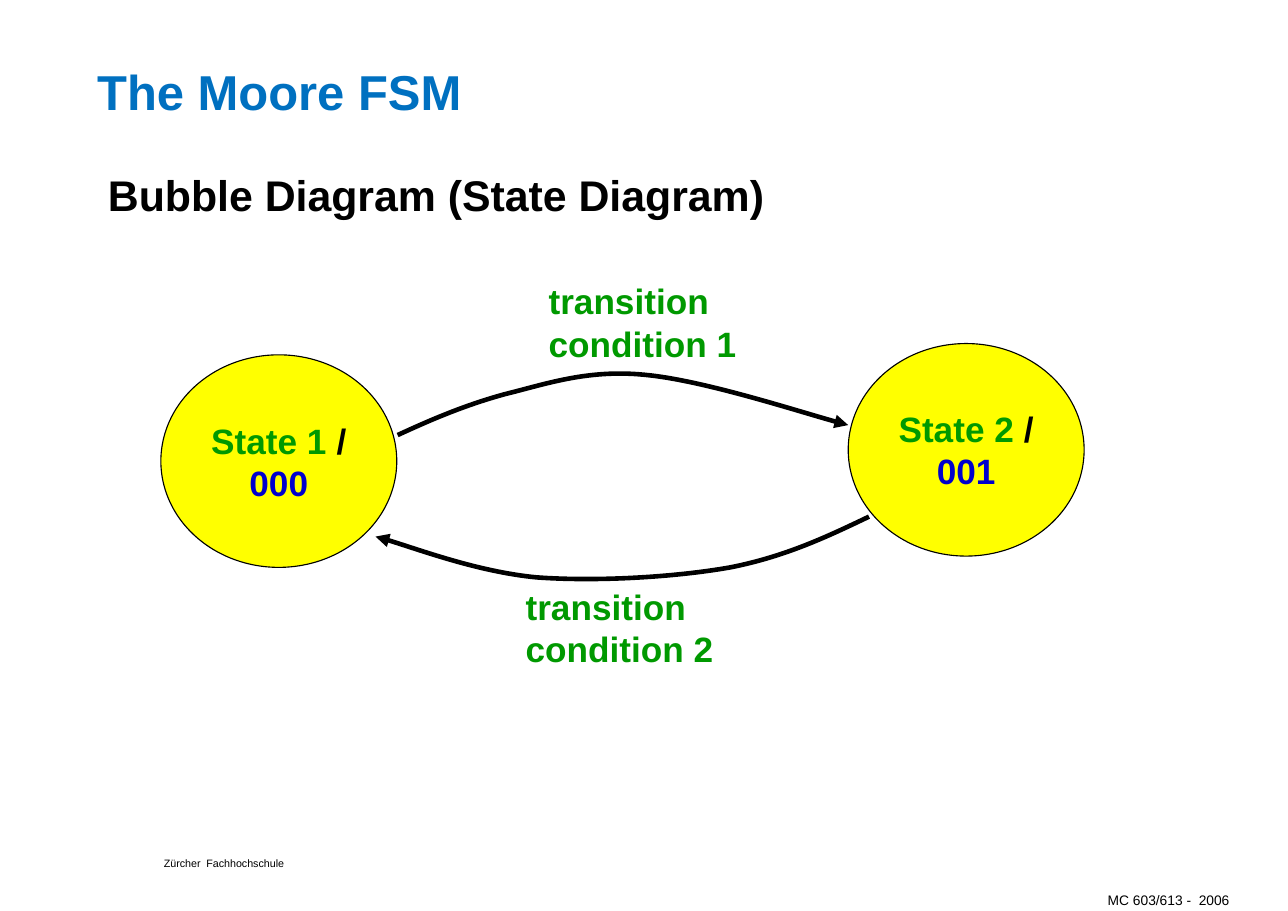
"""Build the slide on the Moore state machine with its bubble diagram."""
from lxml import etree
from pptx import Presentation
from pptx.dml.color import RGBColor
from pptx.enum.shapes import MSO_SHAPE
from pptx.enum.text import MSO_ANCHOR, MSO_AUTO_SIZE, PP_ALIGN
from pptx.oxml.ns import qn
from pptx.util import Cm, Pt

OVAL = MSO_SHAPE.OVAL
TOP, MIDDLE = MSO_ANCHOR.TOP, MSO_ANCHOR.MIDDLE
LEFT, CENTER, RIGHT = PP_ALIGN.LEFT, PP_ALIGN.CENTER, PP_ALIGN.RIGHT
NO_AUTOFIT = MSO_AUTO_SIZE.NONE

BLACK, BLUE, GREEN, NAVY, YELLOW = "000000", "0070C0", "009900", "0000CC", "FFFF00"
SLIDE_SIZE = (29.7, 21)
STATE_SIZE = (5.44, 4.9)
CONDITION_SIZE = (4.95, 2.26)
INSETS = (0.28, 0.15)

TITLE = ("The Moore FSM", (2.24, 1.65, 25.25, 1.42))
HEADING = ("Bubble Diagram (State Diagram)", (2.24, 3.81, 15.82, 1.4))
SCHOOL = ("Zürcher  Fachhochschule", (3.78, 19.79, 3.35, 0.25))
COURSE = ("MC 603/613 -  2006", (24.97, 20.55, 3.38, 0.4))
STATES = [
    ("State 1 ", "000", (3.71, 8.18)),
    ("State 2 ", "001", (19.56, 7.92)),
]
CONDITIONS = [
    ("condition 1", (12.37, 6.3)),
    ("condition 2", (11.84, 13.34)),
]
TRANSITIONS = [
    [(9.17, 10.03), (9.93, 9.68), (10.69, 9.35), (11.63, 9.09), (12.57, 8.86),
     (13.54, 8.51), (14.86, 8.64), (16.18, 8.76), (18.77, 9.6), (19.56, 9.8)],
    [(20.04, 11.91), (19.08, 12.37), (18.11, 12.83), (16.84, 13.08), (15.54, 13.31),
     (13.74, 13.41), (12.37, 13.31), (11.02, 13.18), (9.25, 12.52), (8.66, 12.37)],
]


def rgb(value):
    return RGBColor.from_string(value)


def cm(values):
    return [Cm(value) for value in values]


def write(frame, lines, size, color=BLACK, bold=False, align=LEFT, anchor=TOP,
          insets=(0, 0), wrap=False, spacing=None):
    frame.auto_size = NO_AUTOFIT
    frame.word_wrap = wrap
    frame.vertical_anchor = anchor
    frame.margin_left = frame.margin_right = Cm(insets[0])
    frame.margin_top = frame.margin_bottom = Cm(insets[1])
    for index, line in enumerate(lines):
        paragraph = frame.add_paragraph() if index else frame.paragraphs[0]
        paragraph.alignment = align
        paragraph.space_before = Pt(0)
        if spacing:
            paragraph.line_spacing = Pt(spacing)
        for text, run_color in [(line, color)] if isinstance(line, str) else line:
            run = paragraph.add_run()
            run.text = text
            run.font.name = "Arial"
            run.font.size = Pt(size)
            run.font.bold = bold
            run.font.color.rgb = rgb(run_color)


def place(placeholder, box):
    placeholder.left, placeholder.top, placeholder.width, placeholder.height = cm(box)
    return placeholder.text_frame


def add_state(shapes, name, output, corner):
    state = shapes.add_shape(OVAL, *cm(corner + STATE_SIZE))
    state.shadow.inherit = False
    state.fill.solid()
    state.fill.fore_color.rgb = rgb(YELLOW)
    state.line.color.rgb = rgb(BLACK)
    state.line.width = Pt(0.75)
    write(state.text_frame, [[(name, GREEN), ("/", BLACK)], [(output, NAVY)]], 23,
          bold=True, align=CENTER, anchor=MIDDLE, insets=INSETS)


def add_transition(shapes, points):
    start, *rest = [cm(point) for point in points]
    builder = shapes.build_freeform(*start)
    builder.add_line_segments(rest, close=False)
    arrow = builder.convert_to_shape()
    arrow.shadow.inherit = False
    arrow.fill.background()
    arrow.line.color.rgb = rgb(BLACK)
    arrow.line.width = Pt(3)
    etree.SubElement(arrow.element.spPr.find(qn("a:ln")), qn("a:tailEnd"), type="triangle")

    outline = next(arrow.element.iter(qn("a:path")))
    segments = outline.findall(qn("a:lnTo"))
    for first in range(0, len(segments), 3):
        curve = etree.SubElement(outline, qn("a:cubicBezTo"))
        for segment in segments[first:first + 3]:
            curve.append(segment[0])
            outline.remove(segment)


def main():
    presentation = Presentation()
    presentation.slide_width, presentation.slide_height = cm(SLIDE_SIZE)
    slide = presentation.slides.add_slide(presentation.slide_layouts[1])
    shapes = slide.shapes

    title, title_box = TITLE
    write(place(shapes.title, title_box), [title], 32, color=BLUE, bold=True,
          wrap=True, spacing=32)

    heading, heading_box = HEADING
    heading_frame = place(slide.placeholders[1], heading_box)
    properties = heading_frame.paragraphs[0]._p.get_or_add_pPr()
    properties.set("marL", "0")
    properties.set("indent", "0")
    etree.SubElement(properties, qn("a:buNone"))
    write(heading_frame, [heading], 28, bold=True, insets=(0.25, 0.13), spacing=32)

    school, school_box = SCHOOL
    write(shapes.add_textbox(*cm(school_box)).text_frame, [school], 7, wrap=True, spacing=7)
    course, course_box = COURSE
    write(shapes.add_textbox(*cm(course_box)).text_frame, [course], 9, align=RIGHT, wrap=True)

    for name, output, corner in STATES:
        add_state(shapes, name, output, corner)
    for points in TRANSITIONS:
        add_transition(shapes, points)
    for condition, corner in CONDITIONS:
        label = shapes.add_textbox(*cm(corner + CONDITION_SIZE))
        write(label.text_frame, ["transition", condition], 23, color=GREEN, bold=True,
              insets=INSETS)

    presentation.save("out.pptx")


if __name__ == "__main__":
    main()
